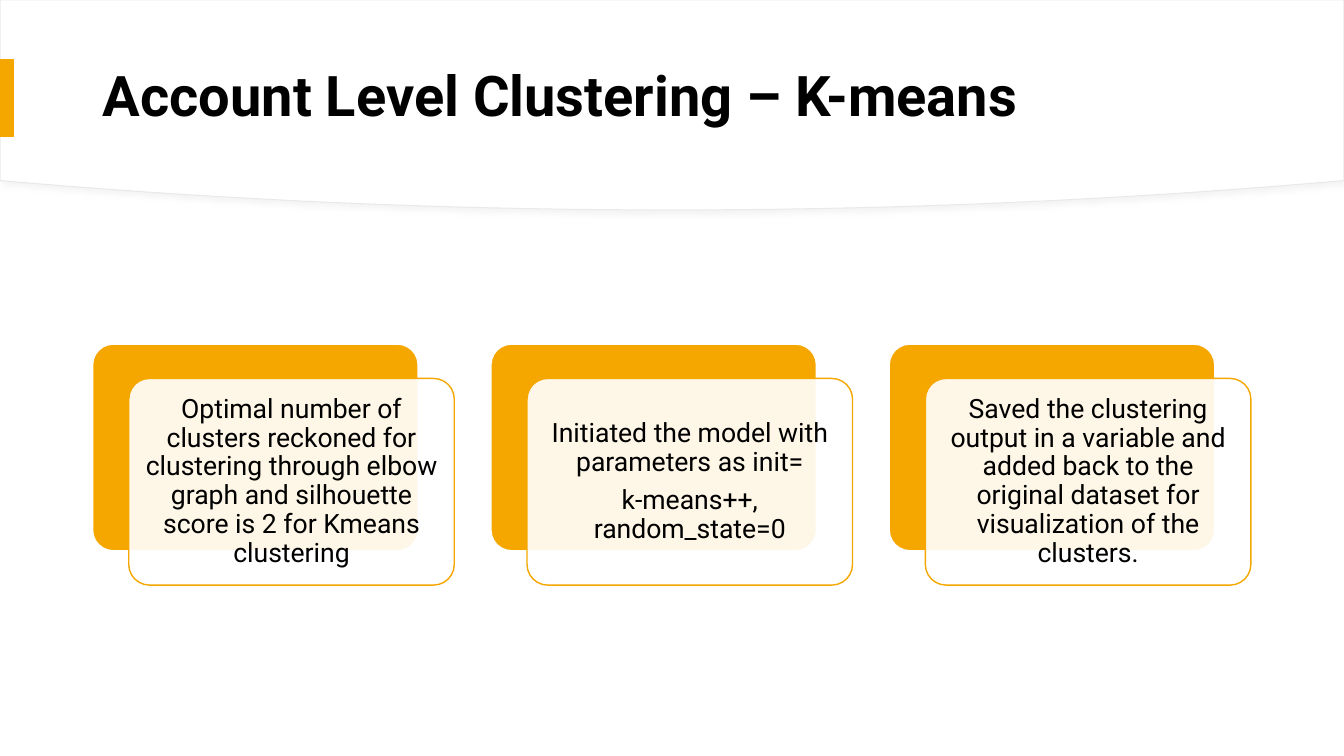
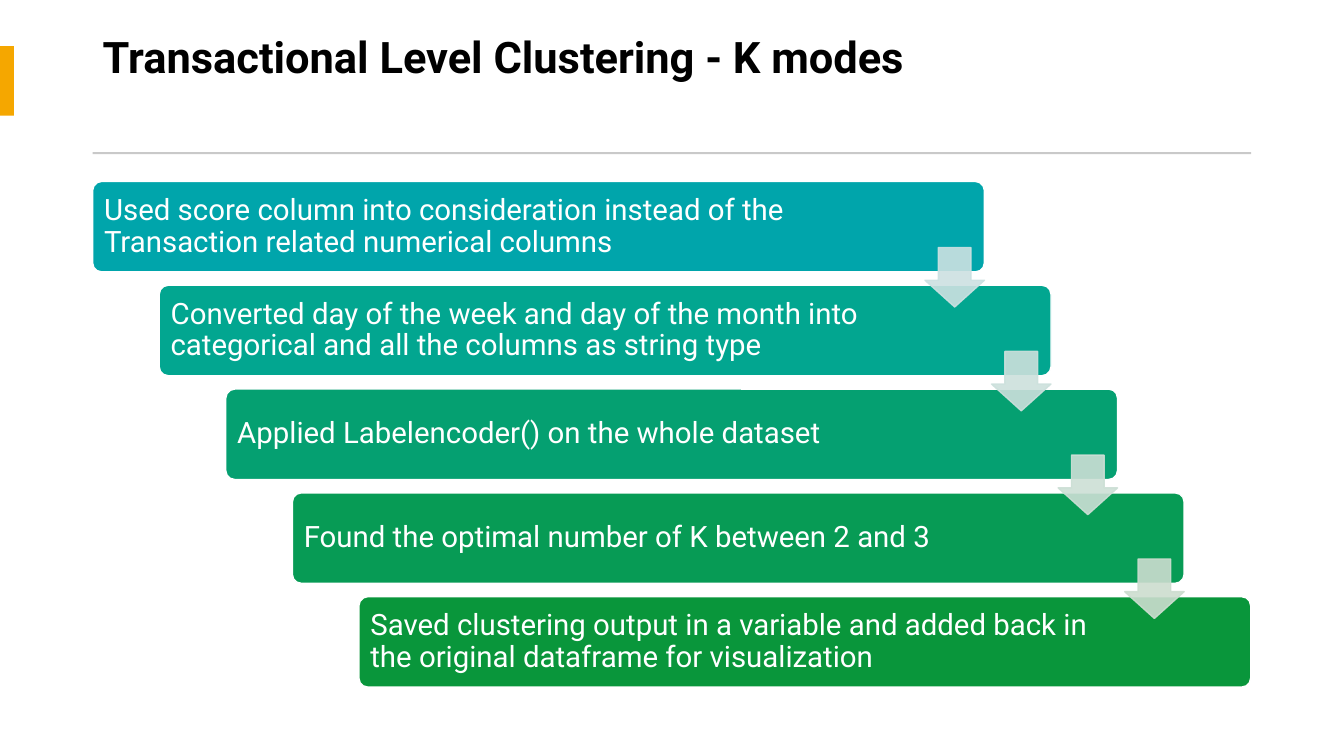
from lxml.etree import SubElement
from pptx import Presentation
from pptx.dml.color import RGBColor
from pptx.enum.shapes import MSO_SHAPE as Shape
from pptx.enum.text import MSO_ANCHOR as Anchor, MSO_AUTO_SIZE as AutoSize, PP_ALIGN as Align
from pptx.oxml.ns import qn
from pptx.util import Pt

WIDTH, HEIGHT = 960, 540
MARGIN = 66.2
FONT = "Roboto"
COLOURS = {
    "white": "FFFFFF",
    "black": "000000",
    "accent": "F5A700",
    "rule": "C9C9C9",
    "band_edge": "E9E9E9",
    "band_shadow": "D9D9D9",
    "step1": "00A5AB", "step2": "02A690", "step3": "05A071",
    "step4": "079B55", "step5": "09963B",
    "arrow1": "CCE1E2", "arrow2": "CCE0DC",
    "arrow3": "CCDFD5", "arrow4": "CCDDCF",
}

CARDS = [
    ["Optimal number of clusters reckoned for clustering through elbow graph "
     "and silhouette score is 2 for Kmeans clustering"],
    ["Initiated the model with parameters as init=", "k-means++, random_state=0"],
    ["Saved the clustering output in a variable and added back to the "
     "original dataset for visualization of the clusters."],
]
STEPS = [
    "Used score column into consideration instead of the Transaction related numerical columns",
    "Converted day of the week and day of the month into categorical "
    "and all the columns as string type",
    "Applied Labelencoder() on the whole dataset",
    "Found the optimal number of K between 2 and 3",
    "Saved clustering output in a variable and added back in the original "
    "dataframe for visualization",
]


def colour(name):
    return RGBColor.from_string(COLOURS[name])


def set_opacity(part, percent):
    """Make every solid colour inside an XML part partly transparent."""
    for tint in part.iter(qn("a:srgbClr")):
        SubElement(tint, qn("a:alpha")).set("val", str(percent * 1000))


class Deck:
    def __init__(self):
        self.presentation = Presentation()
        self.presentation.slide_width = Pt(WIDTH)
        self.presentation.slide_height = Pt(HEIGHT)
        self.slide = None

    def start(self, title, size, top, height, marker_top, marker_height):
        """Open a slide with its title and the accent marker at the left edge."""
        layout = self.presentation.slide_layouts[5]
        self.slide = self.presentation.slides.add_slide(layout)
        heading = self.slide.shapes.title
        heading.left, heading.top = Pt(MARGIN), Pt(top)
        heading.width, heading.height = Pt(828), Pt(height)
        self.set_text(heading, [title], size, "black", Align.LEFT, bold=True)
        self.block(Shape.RECTANGLE, 0, marker_top, 10, marker_height, "accent")

    def set_text(self, shape, lines, size, ink, align, bold=False):
        frame = shape.text_frame
        frame.word_wrap = True
        frame.auto_size = AutoSize.NONE
        frame.vertical_anchor = Anchor.MIDDLE
        frame.text = "\n".join(lines)
        for paragraph in frame.paragraphs:
            paragraph.alignment = align
            paragraph.line_spacing = 0.9
            paragraph.font.name = FONT
            paragraph.font.size = Pt(size)
            paragraph.font.bold = bold
            paragraph.font.color.rgb = colour(ink)
        for paragraph in frame.paragraphs[:-1]:
            paragraph.space_after = Pt(6.6)

    def paint(self, shape, fill, line=None, weight=1):
        shape.shadow.inherit = False
        shape.fill.solid()
        shape.fill.fore_color.rgb = colour(fill)
        if line:
            shape.line.color.rgb = colour(line)
            shape.line.width = Pt(weight)
        else:
            shape.line.fill.background()

    def block(self, kind, left, top, width, height, fill, line=None, adjust=()):
        shape = self.slide.shapes.add_shape(kind, Pt(left), Pt(top), Pt(width), Pt(height))
        for index, value in enumerate(adjust):
            shape.adjustments[index] = value
        self.paint(shape, fill, line)
        return shape

    def panel(self, left, top, width, height, fill, line):
        return self.block(Shape.ROUNDED_RECTANGLE, left, top, width, height, fill, line, [0.1])

    def curved_band(self, side=129, sag=21):
        """Header band whose lower edge is a parabola, sent behind the title."""
        half = WIDTH / 2
        edge = [(x, side + sag * (1 - (x / half - 1) ** 2)) for x in range(WIDTH, -1, -10)]
        outline = self.slide.shapes.build_freeform(0, 0)
        outline.add_line_segments([(Pt(x), Pt(y)) for x, y in [(WIDTH, 0)] + edge])
        band = outline.convert_to_shape()
        self.paint(band, "white", "band_edge", 0.75)
        effects = band.element.spPr.find(qn("a:effectLst"))
        shadow = SubElement(effects, qn("a:outerShdw"), blurRad=str(Pt(4)),
                            dist=str(Pt(3)), dir="2700000")
        SubElement(shadow, qn("a:srgbClr"), val=COLOURS["band_shadow"])
        set_opacity(shadow, 30)
        band.element.getparent().insert(2, band.element)

    def card(self, left, top, lines):
        width, height = 232.5, 147.6
        self.panel(left, top, width, height, "accent", "white")
        front = self.panel(left + 25.8, top + 24.5, width, height, "white", "accent")
        set_opacity(front.element.spPr.find(qn("a:solidFill")), 90)
        frame = front.text_frame
        frame.margin_left = frame.margin_right = Pt(5.7)
        frame.margin_top = frame.margin_bottom = Pt(5.7)
        self.set_text(front, lines, 19, "black", Align.CENTER)

    def step(self, left, top, width, height, text, fill):
        bar = self.panel(left, top, width, height, fill, "white")
        bar.text_frame.margin_left = Pt(6.3)
        bar.text_frame.margin_right = Pt(96)
        self.set_text(bar, [text], 21, "white", Align.LEFT)

    def down_arrow(self, left, top, size, tint):
        arrow = self.block(Shape.DOWN_ARROW, left, top, size, size, tint, tint, [0.55, 0.45])
        set_opacity(arrow.element.spPr, 90)


def account_slide(deck):
    deck.start("Account Level Clustering – K-means", 40, 20, 100, 42.3, 55.6)
    deck.curved_band()
    for column, lines in enumerate(CARDS):
        deck.card(MARGIN + column * 284.5, 245.8, lines)


def transaction_slide(deck):
    deck.start("Transactional Level Clustering - K modes", 31, 20, 45, 33, 49.7)
    deck.block(Shape.RECTANGLE, MARGIN, 108.7, 827.5, 1.4, "rule")
    width, height, arrow_size = 637, 64.6, 42.5
    corners = [(MARGIN + row * 47.55, 129.6 + row * 74.15) for row in range(len(STEPS))]
    for number, ((left, top), text) in enumerate(zip(corners, STEPS), 1):
        deck.step(left, top, width, height, text, f"step{number}")
    for number, (left, top) in enumerate(corners[:-1], 1):
        deck.down_arrow(left + width - arrow_size, top + 47.2, arrow_size, f"arrow{number}")


def main():
    deck = Deck()
    account_slide(deck)
    transaction_slide(deck)
    deck.presentation.save("out.pptx")


if __name__ == "__main__":
    main()
